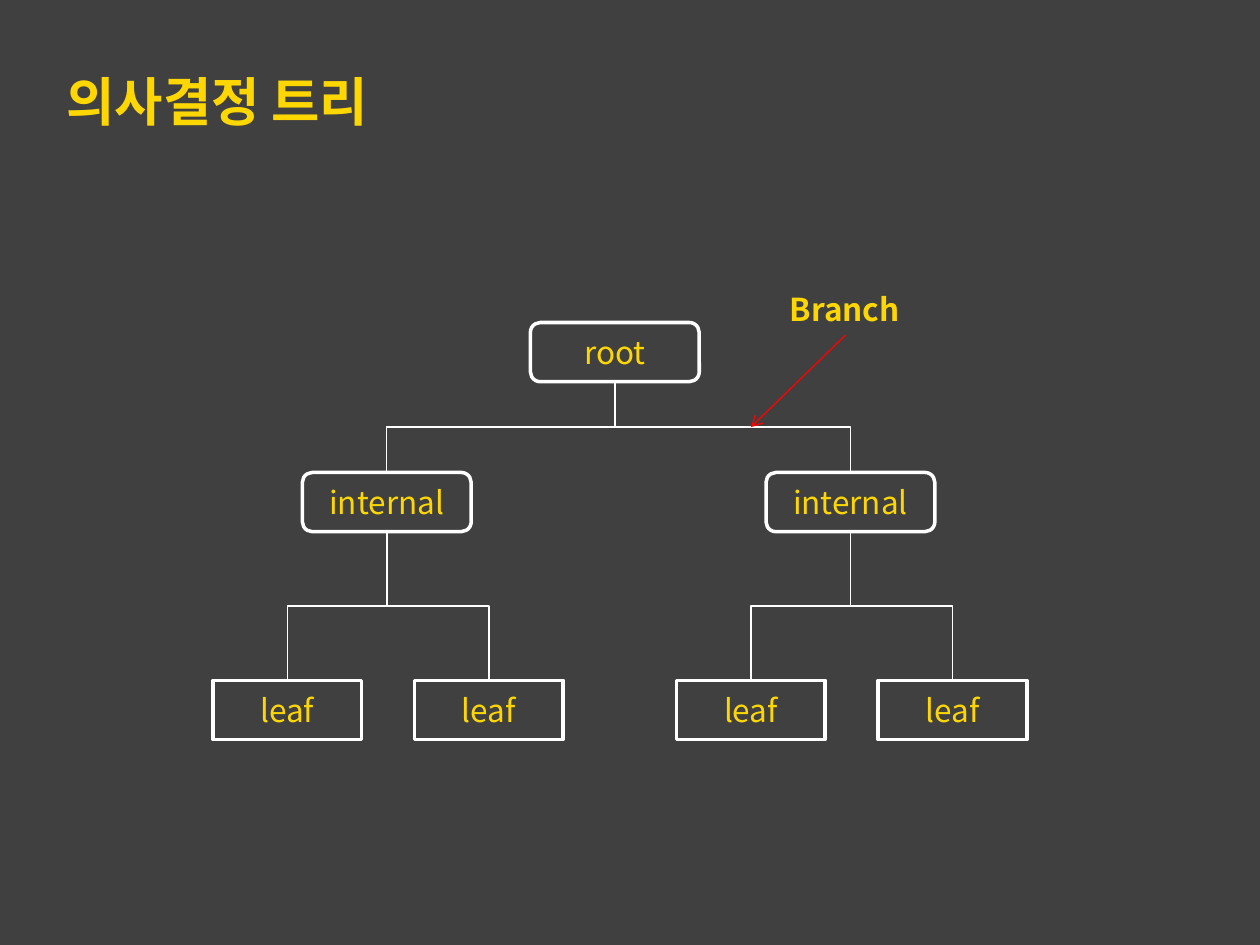
from pptx import Presentation
from pptx import util as u
from pptx.dml import color
from pptx.enum import shapes, text
from pptx.oxml import ns
from lxml import etree

FONT, GOLD, WHITE, RED = "Noto Sans CJK KR", "FFD700", "FFFFFF", "FF0000"

prs = Presentation()
prs.slide_width, prs.slide_height = u.Inches(10), u.Inches(7.5)
COL, ROW = prs.slide_width / 100, prs.slide_height / 75
s = prs.slides.add_slide(prs.slide_layouts[6])


def paint(fmt, hex_color):
    if hasattr(fmt, "solid"):
        fmt.solid()
        fmt.fore_color.rgb = color.RGBColor.from_string(hex_color)
    else:
        fmt.color.rgb = color.RGBColor.from_string(hex_color)


def write(sp, label, size, bold, align):
    tf = sp.text_frame
    tf.text = label
    tf.word_wrap = True
    tf.vertical_anchor = text.MSO_ANCHOR.MIDDLE
    p = tf.paragraphs[0]
    p.alignment = align
    r = p.runs[0]
    r.font.name, r.font.size, r.font.bold = FONT, u.Pt(size), bold
    paint(r.font, GOLD)
    etree.SubElement(r.font._element, ns.qn("a:ea"), typeface=FONT)


paint(s.background.fill, "404040")

labels = [
    ("의사결정 트리", 4.3, 3.6, 85, 8.7, 30, text.PP_ALIGN.LEFT),
    ("Branch", 58.8, 22.5, 16.5, 4, 18, text.PP_ALIGN.CENTER),
]
for label, x, y, w, h, size, align in labels:
    sp = s.shapes.add_textbox(int(x * COL), int(y * ROW), int(w * COL), int(h * ROW))
    write(sp, label, size, True, align)

ROUND, RECT = shapes.MSO_SHAPE.ROUNDED_RECTANGLE, shapes.MSO_SHAPE.RECTANGLE
levels = [
    ("root", ROUND, 13.4, 25.6, [48.8]),
    ("internal", ROUND, 13.4, 37.5, [30.7, 67.5]),
    ("leaf", RECT, 11.8, 54, [22.8, 38.8, 59.6, 75.6]),
]
tree = []
for label, kind, w, y, centers in levels:
    nodes = []
    for x in centers:
        sp = s.shapes.add_shape(kind, int((x - w / 2) * COL), int(y * ROW),
                                int(w * COL), int(4.7 * ROW))
        sp.shadow.inherit = False
        sp.fill.background()
        paint(sp.line, WHITE)
        sp.line.width = u.Pt(2)
        write(sp, label, 18, False, text.PP_ALIGN.CENTER)
        nodes.append(sp)
    tree.append(nodes)

lines = []
for parents, children in zip(tree, tree[1:]):
    for i, child in enumerate(children):
        parent = parents[i // 2]
        x1, y1 = parent.left + parent.width // 2, parent.top + parent.height
        x2, y2 = child.left + child.width // 2, child.top
        c = s.shapes.add_connector(shapes.MSO_CONNECTOR.ELBOW, x1, y1, x2, y2)
        c.begin_connect(parent, 2)
        c.end_connect(child, 0)
        c.width, c.height = y2 - y1, abs(x2 - x1)
        c.left, c.top = (x1 + x2 - c.width) // 2, (y1 + y2 - c.height) // 2
        xfrm = c._element.spPr.get_or_add_xfrm()
        xfrm.flipH, xfrm.flipV = x2 > x1, False
        xfrm.rot = 270 if x2 > x1 else 90
        lines.append((c, WHITE))

arrow = s.shapes.add_connector(shapes.MSO_CONNECTOR.STRAIGHT, int(67.1 * COL),
                               int(26.6 * ROW), int(59.6 * COL), int(33.9 * ROW))
lines.append((arrow, RED))
for c, hex_color in lines:
    paint(c.line, hex_color)
    c.line.width = u.Pt(0.75)
    etree.SubElement(c._element.spPr, ns.qn("a:effectLst"))
etree.SubElement(arrow.line._get_or_add_ln(), ns.qn("a:tailEnd"), type="arrow")

prs.save("out.pptx")
